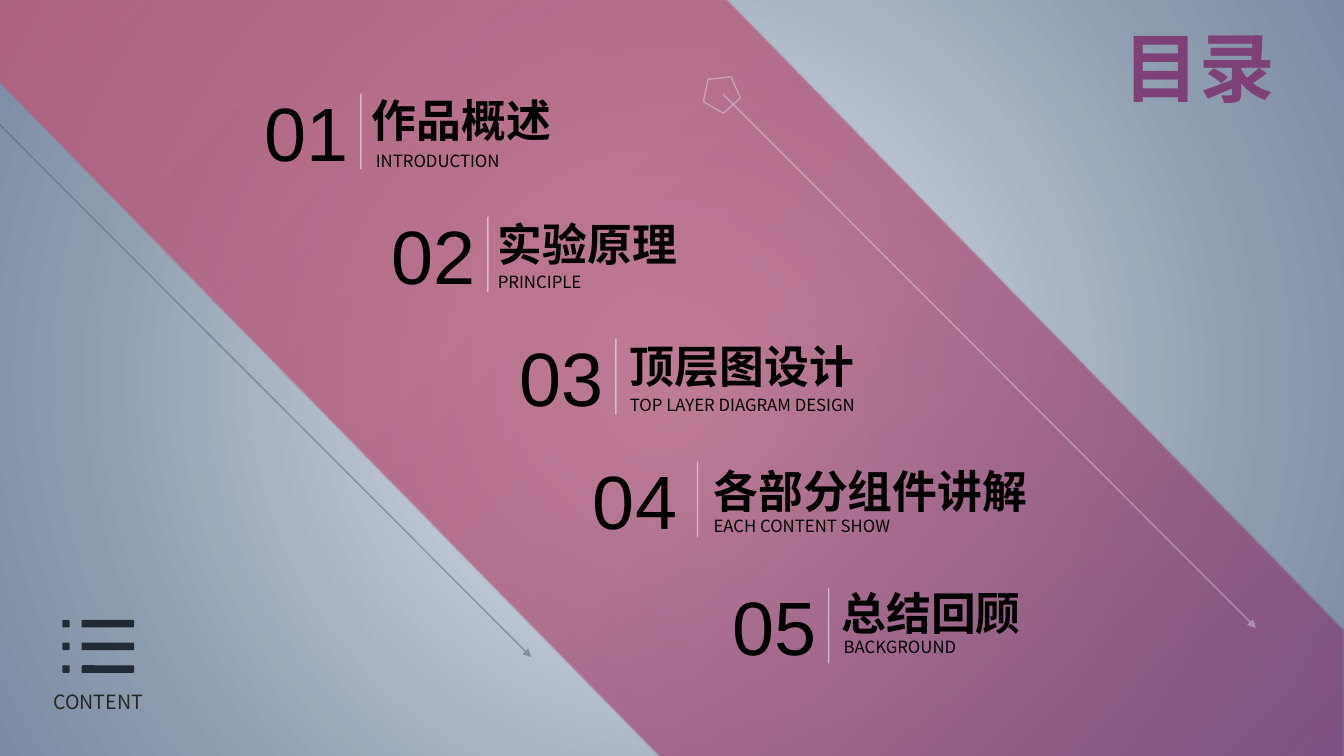
from dataclasses import dataclass

from lxml import etree
from pptx import Presentation
from pptx import util as u
from pptx.dml.color import RGBColor
from pptx.enum import shapes, text
from pptx.oxml import ns

# Grid cells are a tenth of an inch, both ways.
COLUMNS, ROWS = 133.33, 75
LATIN, SANS = "Arial", "Noto Sans CJK SC"

BLACK = RGBColor(0x00, 0x00, 0x00)
WHITE = RGBColor(0xFF, 0xFF, 0xFF)
CHARCOAL = RGBColor(0x26, 0x26, 0x26)
NAVY = RGBColor(0x22, 0x2A, 0x35)
SLATE = RGBColor(0x53, 0x62, 0x75)
PURPLE = RGBColor(0x7D, 0x41, 0x78)
ROSE = RGBColor(0xAB, 0x4A, 0x70)
PINK = RGBColor(0xC5, 0x4F, 0x71)
MIST = RGBColor(0xE4, 0xE9, 0xEF)
STEEL = RGBColor(0x8C, 0x9B, 0xAE)
BLUE_GREY = RGBColor(0x7B, 0x8B, 0xA4)


@dataclass
class Entry:
    """An agenda entry; offsets are in cells from the top of its divider."""
    heading: str
    caption: str
    left: float
    top: float
    heading_x: float
    heading_y: float
    caption_x: float
    caption_y: float
    number_x: float = -12.9


ENTRIES = [
    Entry("作品概述", "INTRODUCTION", 35.8, 9.3, 0.1, -0.6, 0.5, 5.2),
    Entry("实验原理", "PRINCIPLE", 48.4, 21.5, 0, -0.5, 0, 5),
    Entry("顶层图设计", "TOP LAYER DIAGRAM DESIGN", 61.1, 33.6, 0.4, -0.5, 0.4, 5.1),
    Entry("各部分组件讲解", "EACH CONTENT SHOW", 69.2, 45.8, 0.6, -0.3, 0.6, 4.9, -13.7),
    Entry("总结回顾", "BACKGROUND", 82.2, 58.3, 0.3, -0.7, 0.5, 4.4),
]


def cells(*counts):
    return [u.Inches(count / 10) for count in counts]


def add_child(parent, tag, **attributes):
    child = etree.SubElement(parent, ns.qn(tag))
    for name, value in attributes.items():
        child.set(name, str(value))
    return child


def paint_radial(properties, stops, focus):
    """Replace the solid fill by (position, colour, opacity) stops around a focus."""
    solid = properties.find(ns.qn("a:solidFill"))
    gradient = etree.Element(ns.qn("a:gradFill"), rotWithShape="1")
    stop_list = add_child(gradient, "a:gsLst")
    for position, colour, opacity in stops:
        stop = add_child(stop_list, "a:gs", pos=position * 1000)
        paint = add_child(stop, "a:srgbClr", val=colour)
        if opacity < 100:
            add_child(paint, "a:alpha", val=opacity * 1000)
    circle = add_child(gradient, "a:path", path="circle")
    sides = {side: share * 1000 for side, share in zip("ltrb", focus)}
    add_child(circle, "a:fillToRect", **sides)
    properties.replace(solid, gradient)


def style_line(shape, colour, opacity, arrow=False):
    shape.line.color.rgb = colour
    shape.line.width = u.Pt(1)
    outline = shape.line._get_or_add_ln()
    add_child(outline.find(".//" + ns.qn("a:srgbClr")), "a:alpha", val=opacity * 1000)
    if arrow:
        add_child(outline, "a:tailEnd", type="triangle")


def add_line(slide, start, end, colour, opacity, arrow=False):
    line = slide.shapes.add_connector(
        shapes.MSO_CONNECTOR.STRAIGHT, *cells(*start, *end))
    style_line(line, colour, opacity, arrow)
    add_child(line._element.spPr, "a:effectLst")


def write(shape, words, size, font, colour, bold=False,
          align=text.PP_ALIGN.LEFT, anchor=text.MSO_ANCHOR.MIDDLE):
    frame = shape.text_frame
    frame.word_wrap = True
    frame.auto_size = text.MSO_AUTO_SIZE.NONE
    frame.vertical_anchor = anchor
    paragraph = frame.paragraphs[0]
    paragraph.alignment = align
    run = paragraph.add_run()
    run.text = words
    run.font.size = u.Pt(size)
    run.font.name = font
    run.font.bold = bold
    run.font.color.rgb = colour
    add_child(run.font._element, "a:ea", typeface=SANS)


def add_text(slide, box, *content, **style):
    write(slide.shapes.add_textbox(*cells(*box)), *content, **style)


def draw_backdrop(slide):
    slide.background.fill.solid()
    paint_radial(slide._element.find(".//" + ns.qn("p:bgPr")),
                 [(0, MIST, 100), (78, STEEL, 100), (100, BLUE_GREY, 100)],
                 (50, 50, 50, 50))

    outline = [(0, 0), (72.1, 0), (COLUMNS, 62.5), (COLUMNS, ROWS), (65.5, ROWS), (0, 8.2)]
    corners = [cells(*corner) for corner in outline]
    builder = slide.shapes.build_freeform(*corners[0])
    builder.add_line_segments(corners[1:], close=True)
    band = builder.convert_to_shape()
    band.shadow.inherit = False
    band.line.fill.background()
    band.fill.solid()
    band.fill.fore_color.rgb = PINK
    paint_radial(band._element.spPr,
                 [(0, PURPLE, 77), (45, ROSE, 68), (100, PINK, 68)], (100, 100, 0, 0))


def draw_arrows(slide):
    add_line(slide, (71.7, 9.3), (124.6, 62.3), WHITE, 32, arrow=True)
    add_line(slide, (-0.2, 12.2), (52.7, 65.2), SLATE, 50, arrow=True)
    pentagon = slide.shapes.add_shape(
        shapes.MSO_SHAPE.REGULAR_PENTAGON, *cells(69.8, 7.4, 3.7, 3.5))
    pentagon.rotation = 30
    pentagon.shadow.inherit = False
    pentagon.fill.background()
    style_line(pentagon, WHITE, 32)


def place_title(slide, box):
    title = slide.shapes.title
    title.left, title.top, title.width, title.height = cells(*box)
    write(title, "目录", 54, LATIN, PURPLE, bold=True, align=text.PP_ALIGN.CENTER)


def draw_entry(slide, number, entry):
    left, top = entry.left, entry.top
    add_line(slide, (left, top), (left, top + 7.5), WHITE, 49)
    add_text(slide, (left + entry.number_x, top - 1.3, 15, 10.1),
             f"{number:02}", 54, LATIN, BLACK, align=text.PP_ALIGN.CENTER)
    add_text(slide, (left + entry.heading_x, top + entry.heading_y,
                     4.5 * len(entry.heading) + 3, 6.4),
             entry.heading, 32, LATIN, BLACK, bold=True)
    add_text(slide, (left + entry.caption_x, top + entry.caption_y,
                     1.1 * len(entry.caption) + 2.2, 3),
             entry.caption, 12, SANS, BLACK, anchor=text.MSO_ANCHOR.TOP)


def draw_content_mark(slide, left, top):
    """List icon with its label below."""
    for row in range(3):
        for offset, width in ((2.9, 0.7), (4.8, 5.2)):
            bar = slide.shapes.add_shape(
                shapes.MSO_SHAPE.ROUNDED_RECTANGLE,
                *cells(left + offset, top + 2.25 * row, width, 0.75))
            bar.adjustments[0] = 0.15
            bar.shadow.inherit = False
            bar.fill.solid()
            bar.fill.fore_color.rgb = NAVY
            bar.line.fill.background()
    add_text(slide, (left, top + 6.5, 12.9, 3.4), "CONTENT", 14, SANS, CHARCOAL,
             align=text.PP_ALIGN.CENTER, anchor=text.MSO_ANCHOR.TOP)


def main():
    presentation = Presentation()
    presentation.slide_width, presentation.slide_height = cells(COLUMNS, ROWS)
    slide = presentation.slides.add_slide(presentation.slide_layouts[5])
    draw_backdrop(slide)
    place_title(slide, (106.3, 1.5, 25.4, 10.1))
    draw_arrows(slide)
    for number, entry in enumerate(ENTRIES, start=1):
        draw_entry(slide, number, entry)
    draw_content_mark(slide, 3.3, 61.5)
    presentation.save("out.pptx")


if __name__ == "__main__":
    main()
